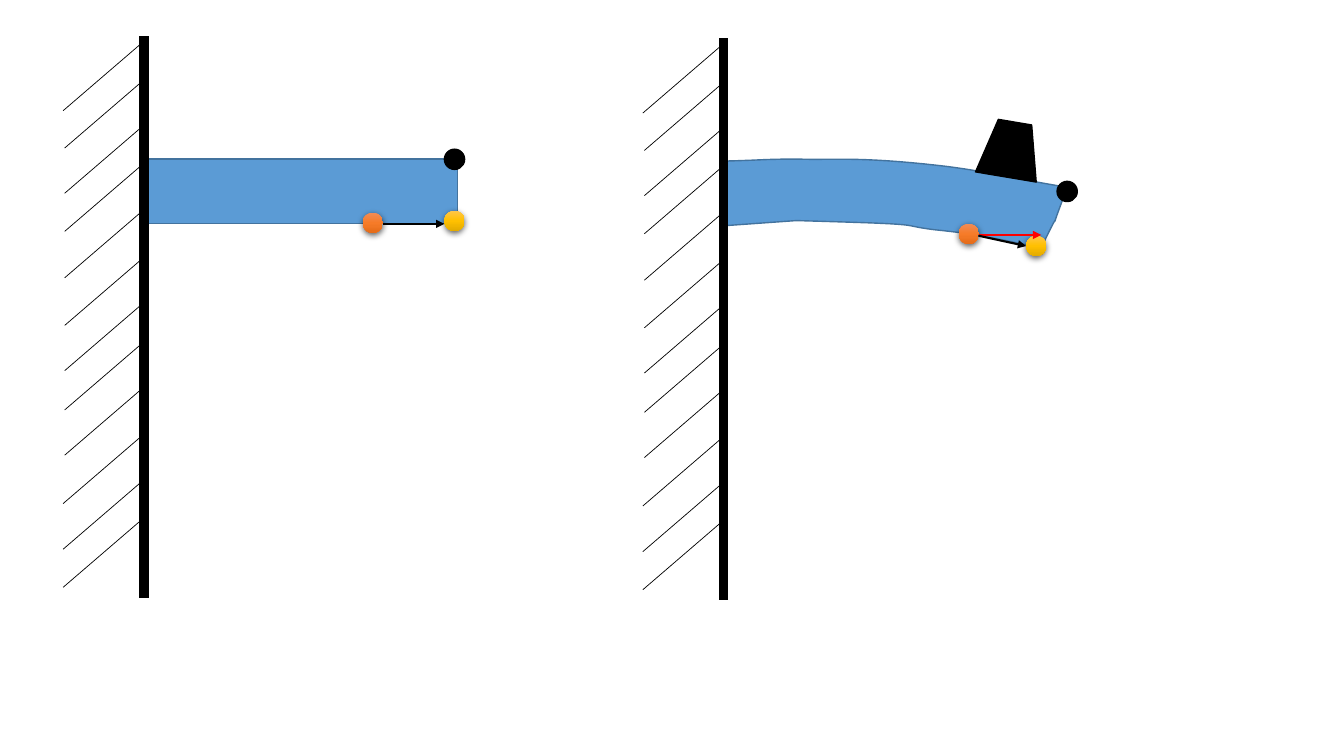
"""Draw a straight and a bent cantilever beam with their tracked markers."""
from copy import deepcopy

from pptx import Presentation
from pptx.dml.color import RGBColor
from pptx.enum.shapes import MSO_CONNECTOR, MSO_SHAPE
from pptx.oxml.ns import qn
from pptx.util import Cm, Pt
from lxml import etree

STRAIGHT = MSO_CONNECTOR.STRAIGHT
RECTANGLE, OVAL, TRAPEZOID = MSO_SHAPE.RECTANGLE, MSO_SHAPE.OVAL, MSO_SHAPE.TRAPEZOID

BLACK = RGBColor(0x00, 0x00, 0x00)
RED = RGBColor(0xFF, 0x00, 0x00)
BEAM_BLUE = RGBColor(0x5B, 0x9B, 0xD5)
BEAM_EDGE = RGBColor(0x43, 0x73, 0x9E)
ORANGE = (RGBColor(0xF1, 0x8C, 0x57), RGBColor(0xF6, 0x7B, 0x28), RGBColor(0xE5, 0x6C, 0x19))
YELLOW = (RGBColor(0xFF, 0xC6, 0x4B), RGBColor(0xFF, 0xC0, 0x00), RGBColor(0xE3, 0xAB, 0x00))

WALL_HEIGHT = 14.16
HATCH_OFFSETS = (0.16, 1.1, 2.24, 3.2, 4.37, 5.57, 6.71, 7.7, 8.84, 10.06, 11.21, 12.17)
SHIFTED_HATCHES = (0, 9, 10, 11)
HATCH_SHIFT, HATCH_RUN, HATCH_DROP = 0.04, 2, 1.72
MARKER_SIZE = 0.51
CURVE_STEPS = 16

BENT_START = (18.24, 4.06)
BENT_CURVES = (
    ((19.18, 4.04), (19.2, 4.01), (20.12, 4.01)),
    ((21.01, 4.04), (21.59, 3.94), (23.65, 4.17)),
    ((24.74, 4.29), (25.81, 4.55), (26.9, 4.72)),
    ((26.24, 6.45), (26.95, 4.75), (26.24, 6.25)),
    ((25.17, 6.02), (24.56, 5.89), (23.55, 5.79)),
    ((22.5, 5.66), (23.65, 5.66), (20.07, 5.56)),
)
BENT_END = (18.24, 5.69)


def paint(shape, fill, edge):
    """Give a shape a flat fill and a thin outline without a shadow."""
    shape.shadow.inherit = False
    shape.fill.solid()
    shape.fill.fore_color.rgb = fill
    shape.line.color.rgb = edge
    shape.line.width = Pt(1)


def add_solid(shapes, kind, left, top, width, height, fill, edge):
    """Add a flat preset shape."""
    solid = shapes.add_shape(kind, Cm(left), Cm(top), Cm(width), Cm(height))
    paint(solid, fill, edge)
    return solid


def add_line(shapes, start, end, color, width):
    """Add a straight line between two points."""
    line = shapes.add_connector(STRAIGHT, *(Cm(value) for value in (*start, *end)))
    line.line.color.rgb = color
    line.line.width = Pt(width)
    etree.SubElement(line._element.spPr, qn("a:effectLst"))
    return line


def add_arrow(shapes, start, end, color):
    """Add a line with a triangular head at its end."""
    arrow = add_line(shapes, start, end, color, 1.5)
    etree.SubElement(arrow.line._get_or_add_ln(), qn("a:tailEnd"), type="triangle")


def add_wall(shapes, x, top):
    """Add a fixed wall with its hatching as one group."""
    wall = shapes.add_group_shape().shapes
    add_line(wall, (x, top), (x, top + WALL_HEIGHT), BLACK, 6.75)
    for index, offset in enumerate(HATCH_OFFSETS):
        hatch_x = x - HATCH_SHIFT if index in SHIFTED_HATCHES else x
        hatch_y = top + offset
        add_line(wall, (hatch_x, hatch_y),
                 (hatch_x - HATCH_RUN, hatch_y + HATCH_DROP), BLACK, 0.5)


def curve_points(start, first, second, end):
    """Return points along a cubic curve, without its start."""
    points = []
    for step in range(1, CURVE_STEPS + 1):
        t = step / CURVE_STEPS
        weights = ((1 - t) ** 3, 3 * t * (1 - t) ** 2, 3 * t ** 2 * (1 - t), t ** 3)
        controls = (start, first, second, end)
        points.append(tuple(Cm(sum(w * point[axis] for w, point in zip(weights, controls)))
                            for axis in (0, 1)))
    return points


def add_bent_beam(shapes):
    """Add the beam bent downwards."""
    outline = []
    start = BENT_START
    for curve in BENT_CURVES:
        outline += curve_points(start, *curve)
        start = curve[-1]
    outline.append(tuple(Cm(value) for value in BENT_END))
    builder = shapes.build_freeform(*(Cm(value) for value in BENT_START))
    builder.add_line_segments(outline, close=True)
    paint(builder.convert_to_shape(), BEAM_BLUE, BEAM_EDGE)


def add_marker(shapes, left, top, shades):
    """Add a round marker with a vertical gradient and a soft shadow."""
    marker = shapes.add_shape(OVAL, Cm(left), Cm(top), Cm(MARKER_SIZE), Cm(MARKER_SIZE))
    marker.line.fill.background()
    marker.fill.gradient()
    marker.fill.gradient_angle = 270
    properties = marker._element.spPr
    stops = properties.find(qn("a:gradFill")).find(qn("a:gsLst"))
    stops.append(deepcopy(stops[0]))
    for stop, shade, position in zip(marker.fill.gradient_stops, shades, (0, 0.5, 1)):
        stop.color.rgb = shade
        stop.position = position
    marker.shadow.inherit = False
    shadow = etree.SubElement(properties.find(qn("a:effectLst")), qn("a:outerShdw"),
                              blurRad=str(Pt(4.5)), dist=str(Pt(1.5)),
                              dir="5400000", algn="ctr", rotWithShape="0")
    tint = etree.SubElement(shadow, qn("a:srgbClr"), val=str(BLACK))
    etree.SubElement(tint, qn("a:alpha"), val="63000")


def add_tip(shapes, left, top):
    """Add the black dot at the upper corner of a beam's free end."""
    add_solid(shapes, OVAL, left, top, MARKER_SIZE, MARKER_SIZE, BLACK, BLACK)


def main():
    """Build and save the slide."""
    deck = Presentation()
    deck.slide_width, deck.slide_height = Cm(33.87), Cm(19.05)
    shapes = deck.slides.add_slide(deck.slide_layouts[6]).shapes

    add_solid(shapes, RECTANGLE, 3.63, 4.01, 7.9, 1.63, BEAM_BLUE, BEAM_EDGE)
    add_wall(shapes, 3.63, 0.91)
    add_bent_beam(shapes)
    add_wall(shapes, 18.24, 0.97)
    load = add_solid(shapes, TRAPEZOID, 24.69, 3.07, 1.55, 1.4, BLACK, BLACK)
    load.rotation = 9.5

    add_marker(shapes, 9.14, 5.36, ORANGE)
    add_marker(shapes, 25.86, 5.94, YELLOW)
    add_tip(shapes, 11.2, 3.76)
    add_marker(shapes, 24.16, 5.64, ORANGE)
    add_marker(shapes, 11.2, 5.31, YELLOW)
    add_tip(shapes, 26.64, 4.57)

    add_arrow(shapes, (9.65, 5.64), (11.2, 5.64), BLACK)
    add_arrow(shapes, (24.66, 5.92), (26.24, 5.92), RED)
    add_arrow(shapes, (24.66, 5.94), (25.86, 6.2), BLACK)
    deck.save("out.pptx")


if __name__ == "__main__":
    main()
